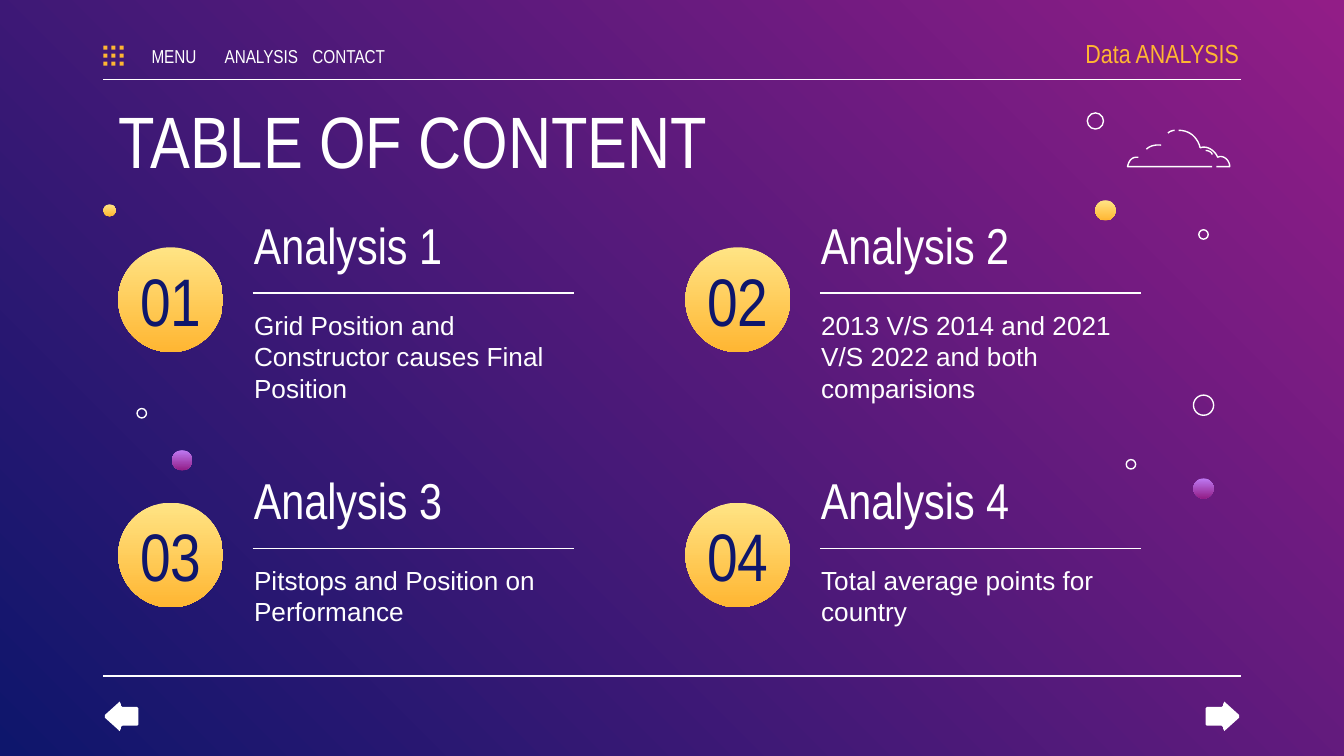
"""Build the table of content slide with four numbered analyses."""
import dataclasses
import itertools
import math
import typing

import lxml.etree
import pptx
import pptx.dml.color
import pptx.dml.fill
import pptx.enum.shapes
import pptx.enum.text
import pptx.oxml.ns
import pptx.shapes.autoshape
import pptx.shapes.shapetree
import pptx.util

Inches = pptx.util.Inches
Align = pptx.enum.text.PP_ALIGN
Anchor = pptx.enum.text.MSO_ANCHOR
Shapes = typing.Union[pptx.shapes.shapetree.SlideShapes, pptx.shapes.shapetree.GroupShapes]
Point = tuple[float, float]
Gradient = tuple[str, str]


@dataclasses.dataclass(frozen=True)
class Style:
    size: float
    color: str
    font: str = "Arial Narrow"
    align: Align = Align.LEFT
    anchor: Anchor = Anchor.TOP
    insets: tuple[float, float, float, float] = (0.1, 0.1, 0.1, 0.1)


@dataclasses.dataclass(frozen=True)
class Theme:
    white: str = "FFFFFF"
    amber: str = "FFB632"
    gold: Gradient = ("FFE485", "FFB632")
    violet: Gradient = ("BE7AF3", "921D87")
    backdrop: Gradient = ("921D87", "0E166C")
    stroke: float = 0.75
    title: Style = Style(39, "FFFFFF")
    heading: Style = Style(27, "FFFFFF")
    summary: Style = Style(14, "FFFFFF", "Arial")
    number: Style = Style(36, "0E166C", align=Align.CENTER, anchor=Anchor.MIDDLE)
    brand: Style = Style(14, "FFB632", align=Align.RIGHT, anchor=Anchor.MIDDLE,
                         insets=(0.1, 0.1, 0, 0.1))
    menu: Style = Style(10, "FFFFFF", align=Align.CENTER, anchor=Anchor.MIDDLE,
                        insets=(0, 0.1, 0, 0.1))


@dataclasses.dataclass(frozen=True)
class Entry:
    heading: str
    summary: str


@dataclasses.dataclass(frozen=True)
class Bubble:
    left: float
    top: float
    size: float
    gradient: typing.Optional[Gradient] = None


@dataclasses.dataclass(frozen=True)
class Stroke:
    start: Point
    curves: tuple[tuple[Point, ...], ...]


THEME = Theme()
ENTRIES = (
    Entry("Analysis 1", "Grid Position and Constructor causes Final Position"),
    Entry("Analysis 2", "2013 V/S 2014 and 2021 V/S 2022 and both comparisions"),
    Entry("Analysis 3", "Pitstops and Position on Performance"),
    Entry("Analysis 4", "Total average points for country"),
)
BUBBLES = (
    Bubble(8.15, 1.49, 0.15, THEME.gold),
    Bubble(0.77, 1.52, 0.09, THEME.gold),
    Bubble(8.88, 3.56, 0.15, THEME.violet),
    Bubble(1.28, 3.35, 0.15, THEME.violet),
    Bubble(8.09, 0.84, 0.12),
    Bubble(8.88, 2.94, 0.15),
    Bubble(8.92, 1.71, 0.07),
    Bubble(8.38, 3.42, 0.07),
    Bubble(1.02, 3.04, 0.07),
)
CLOUD = (
    Stroke((8.77, 0.97), (
        ((8.85, 0.97), (8.91, 1.02), (8.93, 1.1)),
        ((8.98, 1.08), (9.04, 1.12), (9.06, 1.17)),
        ((9.1, 1.15), (9.15, 1.19), (9.15, 1.24)),
        ((9.05, 1.24),),
    )),
    Stroke((8.74, 0.97), (((8.74, 0.97), (8.71, 0.97), (8.69, 0.99)),)),
    Stroke((9.02, 1.24), (((8.39, 1.24),), ((8.39, 1.24), (8.4, 1.16), (8.47, 1.17)))),
    Stroke((8.97, 1.12), (((8.97, 1.12), (9.01, 1.12), (9.02, 1.15)),)),
    Stroke((8.64, 1.08), (((8.64, 1.08), (8.57, 1.07), (8.53, 1.11)),)),
)
ARROW_HALF = ((0, 0.01), (0.1, 0.1), (0.11, 0.11), (0.12, 0.09), (0.12, 0.08),
              (0.13, 0.07), (0.24, 0.07), (0.25, 0.06))


def rgb(color: str) -> pptx.dml.color.RGBColor:
    """Turn a hex string into a colour."""
    return pptx.dml.color.RGBColor.from_string(color)


def fill_gradient(fill: pptx.dml.fill.FillFormat, gradient: Gradient, angle: float) -> None:
    """Apply a two-colour linear gradient."""
    fill.gradient()
    fill.gradient_angle = angle
    for stop, color in zip(fill.gradient_stops, gradient):
        stop.color.rgb = rgb(color)


def paint(shape: pptx.shapes.autoshape.Shape, fill: typing.Union[str, Gradient, None]) -> None:
    """Fill a shape without outline, or outline it in white when there is no fill."""
    shape.shadow.inherit = False
    if fill is None:
        shape.fill.background()
        shape.line.color.rgb = rgb(THEME.white)
        shape.line.width = pptx.util.Pt(THEME.stroke)
        return
    shape.line.fill.background()
    if isinstance(fill, str):
        shape.fill.solid()
        shape.fill.fore_color.rgb = rgb(fill)
    else:
        fill_gradient(shape.fill, fill, 270)


def write(holder: pptx.shapes.autoshape.Shape, text: str, style: Style,
          left: float, top: float, width: float, height: float) -> None:
    """Place a text holder and format its single paragraph."""
    holder.left, holder.top = Inches(left), Inches(top)
    holder.width, holder.height = Inches(width), Inches(height)
    frame = holder.text_frame
    frame.text = text
    frame.word_wrap = True
    frame.auto_size = pptx.enum.text.MSO_AUTO_SIZE.NONE
    frame.vertical_anchor = style.anchor
    (frame.margin_left, frame.margin_top,
     frame.margin_right, frame.margin_bottom) = map(Inches, style.insets)
    paragraph = frame.paragraphs[0]
    paragraph.alignment = style.align
    paragraph.space_before = pptx.util.Pt(0)
    paragraph.line_spacing = 1.0
    properties = paragraph._p.get_or_add_pPr()
    properties.set("marL", "0")
    properties.set("indent", "0")
    lxml.etree.SubElement(properties, pptx.oxml.ns.qn("a:buNone"))
    font = paragraph.runs[0].font
    font.name, font.size, font.bold = style.font, pptx.util.Pt(style.size), False
    font.color.rgb = rgb(style.color)


def add_text(shapes: Shapes, text: str, style: Style,
             left: float, top: float, width: float, height: float) -> None:
    """Add a formatted text box."""
    write(shapes.add_textbox(0, 0, 0, 0), text, style, left, top, width, height)


def add_rule(shapes: Shapes, left: float, right: float, top: float) -> None:
    """Draw a thin white horizontal line."""
    rule = shapes.add_connector(pptx.enum.shapes.MSO_CONNECTOR.STRAIGHT,
                                Inches(left), Inches(top), Inches(right), Inches(top))
    rule.line.color.rgb = rgb(THEME.white)
    rule.line.width = pptx.util.Pt(THEME.stroke)
    lxml.etree.SubElement(rule._element.spPr, pptx.oxml.ns.qn("a:effectLst"))


def add_bubble(shapes: Shapes, bubble: Bubble) -> None:
    """Draw a filled or outlined circle."""
    size = Inches(bubble.size)
    paint(shapes.add_shape(pptx.enum.shapes.MSO_SHAPE.OVAL, Inches(bubble.left),
                           Inches(bubble.top), size, size), bubble.gradient)


def add_outline(shapes: Shapes, points: list[Point], fill: typing.Optional[str]) -> None:
    """Draw a closed filled outline, or an open white one."""
    (first, *rest) = [(Inches(x), Inches(y)) for x, y in points]
    builder = shapes.build_freeform(*first)
    builder.add_line_segments(rest, close=fill is not None)
    paint(builder.convert_to_shape(), fill)


def trace(stroke: Stroke, steps: int = 10) -> list[Point]:
    """Sample the Bezier curves of a stroke."""
    points = [stroke.start]
    for curve in stroke.curves:
        controls = (points[-1], *curve)
        degree = len(curve)
        for t in (step / steps for step in range(1, steps + 1)):
            weights = [math.comb(degree, i) * t**i * (1 - t)**(degree - i)
                       for i in range(degree + 1)]
            points.append(tuple(sum(w * c[axis] for w, c in zip(weights, controls))
                                for axis in (0, 1)))
    return points


def add_arrow(shapes: Shapes, tip: float, direction: int) -> None:
    """Draw a navigation arrow whose body extends from the tip in a direction."""
    middle = 5.33
    lower = [(tip + direction * x, middle + y) for x, y in ARROW_HALF]
    upper = [(x, 2 * middle - y) for x, y in reversed(lower)]
    add_outline(shapes, lower + upper, THEME.white)


def add_entry(shapes: Shapes, summary: pptx.shapes.autoshape.Shape, entry: Entry,
              number: int, left: float, top: float) -> None:
    """Draw one numbered entry of the table of content."""
    add_bubble(shapes, Bubble(left, top, 0.78, THEME.gold))
    add_text(shapes, f"{number:02}", THEME.number, left, top + 0.2, 0.78, 0.38)
    add_text(shapes, entry.heading, THEME.heading, left + 0.91, top - 0.35, 3.03, 0.48)
    add_rule(shapes, left + 1, left + 3.39, top + 0.34)
    write(summary, entry.summary, THEME.summary, left + 0.91, top + 0.36, 2.44, 0.62)


def main() -> None:
    """Compose the slide and save it."""
    deck = pptx.Presentation()
    deck.slide_width = Inches(10)
    deck.slide_height = deck.slide_width * 9 // 16
    slide = deck.slides.add_slide(deck.slide_layouts.get_by_name("Comparison"))
    fill_gradient(slide.background.fill, THEME.backdrop, 225)
    shapes = slide.shapes
    title, *summaries = slide.placeholders
    write(title, "TABLE OF CONTENT", THEME.title, 0.78, 0.61, 8.44, 0.66)
    for top in (0.59, 5.03):
        add_rule(shapes, 0.77, 9.23, top)
    cells = itertools.product((1.84, 3.74), (0.88, 5.1))
    for number, (entry, summary, (top, left)) in enumerate(zip(ENTRIES, summaries, cells), 1):
        add_entry(shapes, summary, entry, number, left, top)
    for column, label in enumerate(("MENU", "ANALYSIS", "CONTACT")):
        add_text(shapes, label, THEME.menu, 1.01 + 0.65 * column, 0.3, 0.57, 0.23)
    add_text(shapes, "Data ANALYSIS", THEME.brand, 7.72, 0.23, 1.5, 0.33)
    menu_icon = shapes.add_group_shape().shapes
    for column, row in itertools.product(range(3), repeat=2):
        paint(menu_icon.add_shape(pptx.enum.shapes.MSO_SHAPE.RECTANGLE,
                                  Inches(0.77 + 0.06 * column), Inches(0.34 + 0.06 * row),
                                  Inches(0.03), Inches(0.03)), THEME.amber)
    cloud = shapes.add_group_shape().shapes
    for stroke in CLOUD:
        add_outline(cloud, trace(stroke), None)
    for bubble in BUBBLES:
        add_bubble(shapes, bubble)
    add_arrow(shapes, 0.78, 1)
    add_arrow(shapes, 9.22, -1)
    deck.save("out.pptx")


if __name__ == "__main__":
    main()
